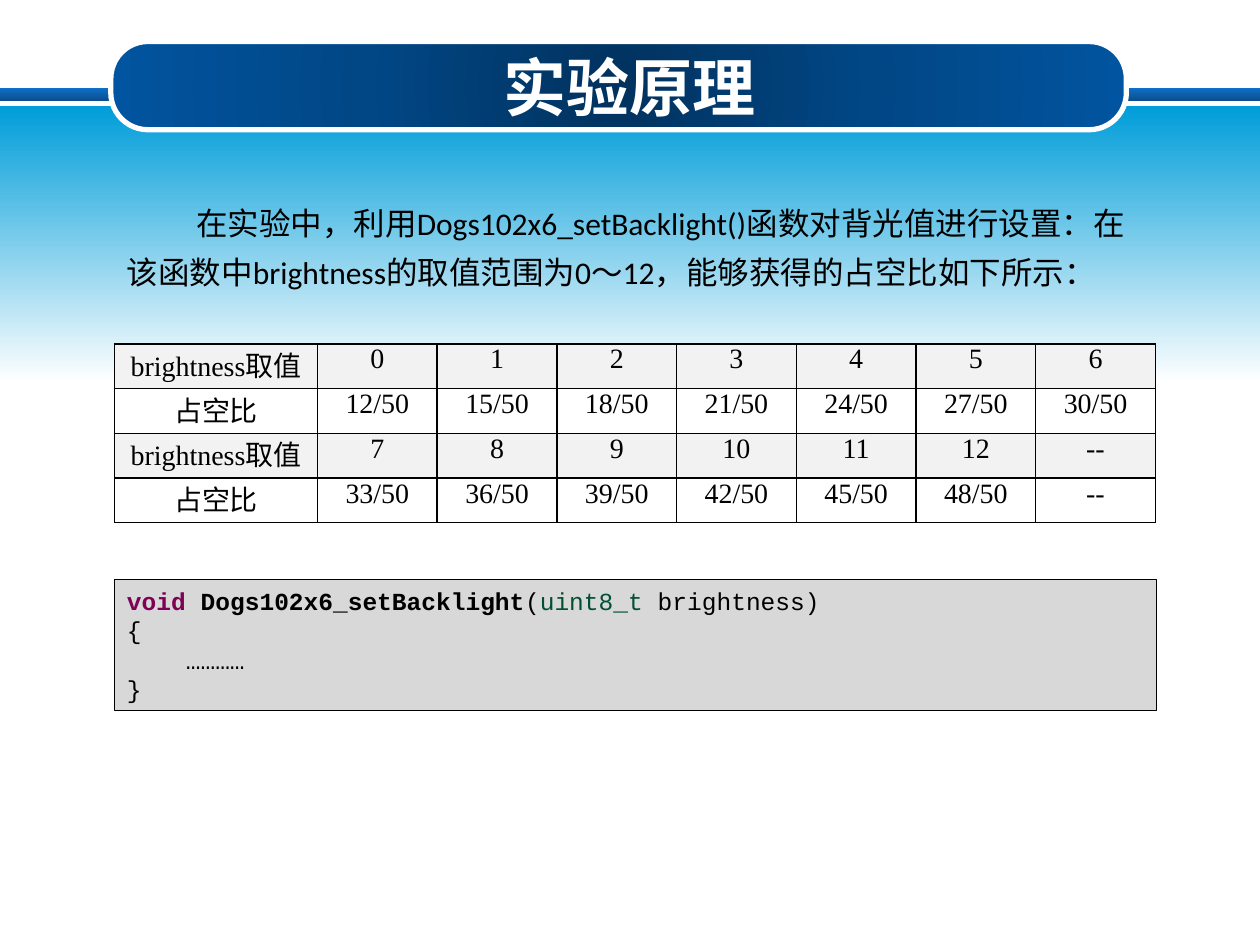
from lxml import etree
from pptx import Presentation
from pptx.dml.color import RGBColor
from pptx.enum.shapes import MSO_SHAPE
from pptx.enum.text import MSO_ANCHOR, MSO_AUTO_SIZE, PP_ALIGN
from pptx.oxml import parse_xml
from pptx.oxml.ns import nsdecls, qn
from pptx.util import Inches, Pt

RECT, ROUND_RECT = MSO_SHAPE.RECTANGLE, MSO_SHAPE.ROUNDED_RECTANGLE
TOP, MIDDLE = MSO_ANCHOR.TOP, MSO_ANCHOR.MIDDLE
LEFT, CENTER = PP_ALIGN.LEFT, PP_ALIGN.CENTER
GROW = MSO_AUTO_SIZE.SHAPE_TO_FIT_TEXT

COLORS = {
    "white": "FFFFFF", "black": "000000",
    "bar_top": "0F6FC6", "bar_bottom": "0B4F8E", "sky": "009DD9",
    "pill_core": "01325E", "pill_mid": "014786", "pill_edge": "01549F",
    "row": "F2F2F2", "code": "D8D8D8", "keyword": "7F0055", "type": "005032",
}
DOWNWARD = '<a:lin ang="5400000" scaled="0"/>'
FROM_CENTER = ('<a:path path="circle"><a:fillToRect l="50000" t="50000" '
               'r="50000" b="50000"/></a:path>')


def add_gradient_shape(kind, box, stops, direction):
    shape = slide.shapes.add_shape(kind, *(Inches(v) for v in box))
    marks = "".join(f'<a:gs pos="{pos * 1000}"><a:srgbClr val="{COLORS[name]}"/></a:gs>'
                    for pos, name in stops)
    shape._element.spPr.append(parse_xml(
        f'<a:gradFill {nsdecls("a")} rotWithShape="1"><a:gsLst>{marks}</a:gsLst>'
        f'{direction}</a:gradFill>'))
    shape.line.fill.background()
    shape.shadow.inherit = False
    return shape


def add_run(paragraph, text, font, size, color="black", bold=False):
    run = paragraph.add_run()
    run.text = text
    run.font.name, run.font.size, run.font.bold = font, Pt(size), bold
    run.font.color.rgb = RGBColor.from_string(COLORS[color])


prs = Presentation()
prs.slide_width, prs.slide_height = Inches(10), Inches(7.5)
slide = prs.slides.add_slide(prs.slide_layouts[6])

# Header band, fading sky and title pill
add_gradient_shape(RECT, (0, 0.7, 10, 0.1), [(0, "bar_top"), (100, "bar_bottom")], DOWNWARD)
add_gradient_shape(RECT, (0, 0.84, 10, 2.2), [(0, "sky"), (100, "white")], DOWNWARD)
pill = add_gradient_shape(ROUND_RECT, (0.88, 0.33, 8.06, 0.7),
                          [(0, "pill_core"), (50, "pill_mid"), (100, "pill_edge")], FROM_CENTER)
pill.adjustments[0] = 0.42
pill.line.color.rgb = RGBColor.from_string(COLORS["white"])
pill.line.width = Pt(3)

# Title
title = slide.shapes.add_textbox(Inches(0.5), Inches(0.3), Inches(9), Inches(0.77)).text_frame
title.word_wrap = True
title.vertical_anchor = MIDDLE
title.paragraphs[0].alignment = CENTER
add_run(title.paragraphs[0], "实验原理", "Calibri", 36, "white", True)

# Explanation with an indented first line
left, width = Inches(0.91), Inches(8.27)
intro = slide.shapes.add_textbox(left, Inches(1.48), width, Inches(0.89)).text_frame
intro.word_wrap = True
intro.auto_size = GROW
intro.paragraphs[0].line_spacing = Pt(28)
intro.paragraphs[0]._p.get_or_add_pPr().set("indent", str(Inches(0.55)))
add_run(intro.paragraphs[0],
        "在实验中，利用Dogs102x6_setBacklight()函数对背光值进行设置：在该函数中"
        "brightness的取值范围为0～12，能够获得的占空比如下所示：", "Calibri", 18)

# Code box
code_box = slide.shapes.add_shape(RECT, left, Inches(4.6), width, Inches(1.04))
code_box.shadow.inherit = False
code_box.fill.solid()
code_box.fill.fore_color.rgb = RGBColor.from_string(COLORS["code"])
code_box.line.color.rgb = RGBColor.from_string(COLORS["black"])
code_box.line.width = Pt(0.75)
code = code_box.text_frame
code.word_wrap = True
code.auto_size = GROW
code.vertical_anchor = TOP
code_lines = [
    [("void ", "keyword", True), ("Dogs102x6_setBacklight", "black", True),
     ("(", "black", False), ("uint8_t", "type", False), (" brightness)", "black", False)],
    [("{", "black", False)],
    [("    …………", "black", False)],
    [("}", "black", False)],
]
for i, line in enumerate(code_lines):
    paragraph = code.add_paragraph() if i else code.paragraphs[0]
    paragraph.alignment = LEFT
    for text, color, bold in line:
        add_run(paragraph, text, "Courier New", 14, color, bold)

# Duty cycle table: (12 + 3 * brightness) / 50
duty_rows = []
for levels in (range(7), range(7, 13)):
    padding = ["--"] * (7 - len(levels))
    duty_rows.append(["brightness取值"] + [str(n) for n in levels] + padding)
    duty_rows.append(["占空比"] + [f"{12 + 3 * n}/50" for n in levels] + padding)

duty_table = slide.shapes.add_table(4, 8, left, Inches(2.73), width, Inches(1.42)).table
for c, column in enumerate(duty_table.columns):
    column.width = Inches(0.95 if c else 1.61)
for r, values in enumerate(duty_rows):
    for c, value in enumerate(values):
        cell = duty_table.cell(r, c)
        cell.margin_left = cell.margin_right = Inches(0.07)
        cell.margin_top = cell.margin_bottom = 0
        if r % 2 == 0:
            cell.fill.solid()
            cell.fill.fore_color.rgb = RGBColor.from_string(COLORS["row"])
        else:
            cell.fill.background()
        paragraph = cell.text_frame.paragraphs[0]
        paragraph.alignment = CENTER
        add_run(paragraph, value, "Times New Roman", 16)
        # Borders come before the fill in the cell properties
        for i, side in enumerate(("a:lnL", "a:lnR", "a:lnT", "a:lnB")):
            border = etree.Element(qn(side), w=str(Pt(1)))
            ink = etree.SubElement(border, qn("a:solidFill"))
            etree.SubElement(ink, qn("a:srgbClr"), val=COLORS["black"])
            cell._tc.get_or_add_tcPr().insert(i, border)

prs.save("out.pptx")
